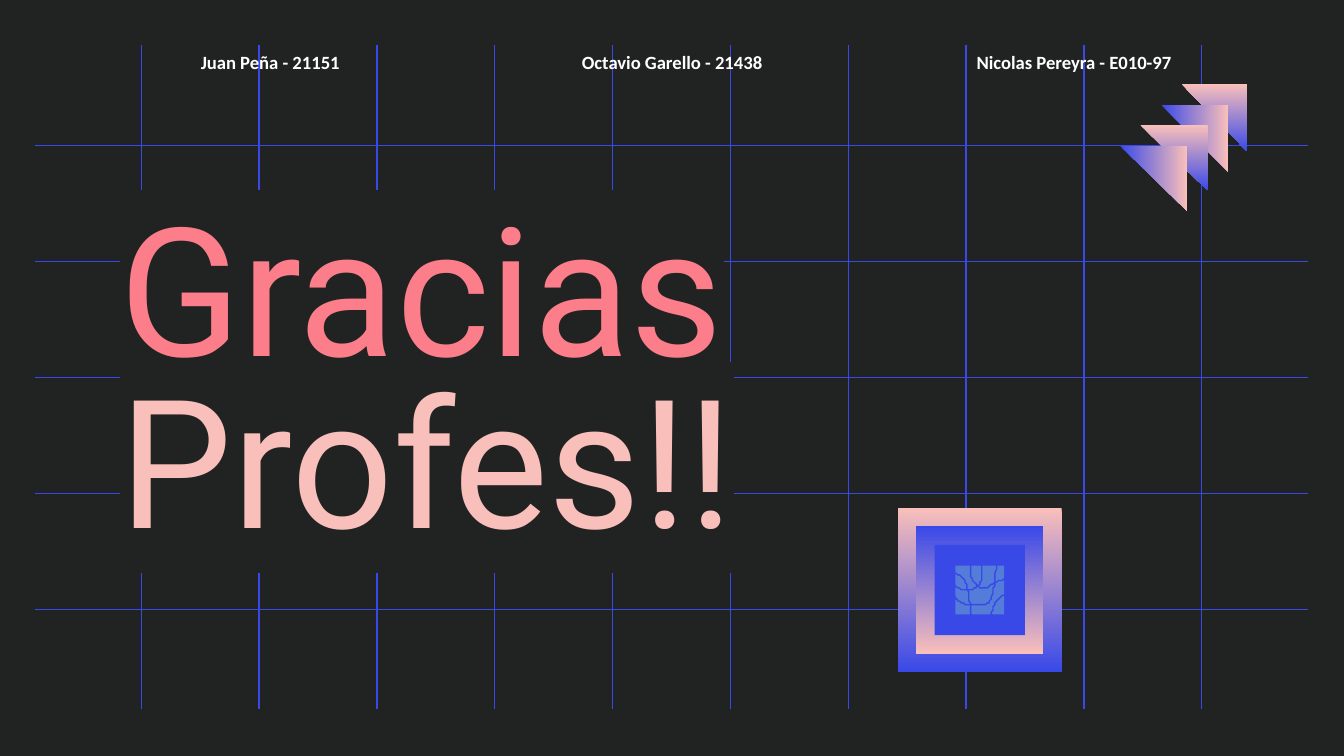
import pptx
import pptx.dml.color
import pptx.enum.dml
import pptx.enum.shapes
import pptx.enum.text
import pptx.oxml
import pptx.oxml.ns
import pptx.util

Pt = pptx.util.Pt
COLORS = {
    "background": "212222",
    "blue": "3949E8",
    "light blue": "537DD8",
    "pink": "F9BFBA",
    "coral": "FB7E8A",
    "white": "FFFFFF",
}
SQUIGGLE = [
    (1, 14), (1.5, 21), (3.2, 27), (6.5, 31.5), (12.2, 33.7), (16.6, 34), (21, 33.5),
    (23.8, 31), (25.6, 24.5), (26.3, 17.3), (28, 10.8), (31.7, 9), (36.7, 13), (37.4, 18),
    (36.7, 23), (34.6, 26.6), (28.8, 29.5), (24.9, 36), (25.2, 41), (28.8, 42), (36, 39.6),
    (40, 33.1), (37, 22.3), (31.7, 19.8), (26, 22), (20.2, 24.8), (16.6, 23.4), (13, 17.3),
    (13, 10.8), (15.1, 9.7), (18, 10.1), (19.1, 15), (19.1, 19.4), (17.3, 23.4), (11.5, 26),
    (5, 23.8), (1.4, 18.7), (2.2, 17), (7.2, 17.6), (10.8, 23), (12.2, 30.2), (13, 35.3),
    (14.4, 41), (18.7, 45),
]


def rgb(name):
    """Return the named colour."""
    return pptx.dml.color.RGBColor.from_string(COLORS[name])


def paint(shape, colors, angle=0):
    """Fill a shape with one colour, or with a gradient of two, without outline."""
    shape.shadow.inherit = False
    shape.line.fill.background()
    if len(colors) == 1:
        shape.fill.solid()
        shape.fill.fore_color.rgb = rgb(colors[0])
        return
    shape.fill.gradient()
    shape.fill.gradient_angle = angle
    for stop, color, position in zip(shape.fill.gradient_stops, colors, (0, 1)):
        stop.color.rgb = rgb(color)
        stop.position = position


def add_grid_line(slide, start, end):
    """Draw one thin blue line between two points."""
    line = slide.shapes.add_connector(
        pptx.enum.shapes.MSO_CONNECTOR.STRAIGHT, *map(Pt, (*start, *end)))
    line.line.color.rgb = rgb("blue")
    line.line.width = Pt(0.75)
    line._element.spPr.append(pptx.oxml.parse_xml(
        f"<a:effectLst {pptx.oxml.ns.nsdecls('a')}/>"))


def add_grid(slide, left, top, width, height):
    """Draw the five rows and ten columns of grid lines."""
    for row in range(5):
        y = top + 53.9 + 62.15 * row
        add_grid_line(slide, (left, y), (left + width, y))
    for column in range(10):
        x = left + 57 + 63.12 * column
        add_grid_line(slide, (x, top), (x, top + height))


def add_title(slide, left, top, width, height):
    """Place the highlighted two-colour title in front of the grid."""
    title = slide.shapes.title
    title._element.getparent().append(title._element)
    title.left, title.top, title.width, title.height = map(Pt, (left, top, width, height))
    frame = title.text_frame
    frame.word_wrap = True
    frame.auto_size = pptx.enum.text.MSO_AUTO_SIZE.NONE
    frame.vertical_anchor = pptx.enum.text.MSO_ANCHOR.MIDDLE
    frame.margin_left = frame.margin_right = frame.margin_top = frame.margin_bottom = Pt(7.2)
    paragraph = frame.paragraphs[0]
    paragraph.alignment = pptx.enum.text.PP_ALIGN.LEFT
    paragraph.line_spacing = 0.8
    paragraph.space_before = Pt(0)
    for text, color in (("Gracias ", "coral"), ("Profes!!", "pink")):
        run = paragraph.add_run()
        run.text = text
        run.font.size = Pt(96)
        run.font.color.rgb = rgb(color)
        run._r.get_or_add_rPr().append(pptx.oxml.parse_xml(
            f"<a:highlight {pptx.oxml.ns.nsdecls('a')}>"
            f"<a:srgbClr val=\"{COLORS['background']}\"/></a:highlight>"))
        run.font.name = "Roboto"


def smooth_points(points, steps=6):
    """Return points along a Catmull-Rom curve through the given points."""
    padded = [points[0], *points, points[-1]]
    curve = [points[0]]
    for a, b, c, d in zip(padded, padded[1:], padded[2:], padded[3:]):
        for step in range(1, steps + 1):
            t = step / steps
            curve.append(tuple(
                q + t / 2 * (r - p + t * (2 * p - 5 * q + 4 * r - s + t * (3 * (q - r) + s - p)))
                for p, q, r, s in zip(a, b, c, d)))
    return curve


def add_outline(slide, points, close):
    """Build a freeform through points given in points of length."""
    builder = slide.shapes.build_freeform(*points[0], scale=Pt(1))
    builder.add_line_segments(points[1:], close=close)
    return builder.convert_to_shape()


def add_nested_squares(slide, left, top, size):
    """Draw four centred squares and the curling line inside them."""
    squares = (
        (size, ("pink", "blue")),
        (68.2, ("blue", "pink")),
        (48.4, ("blue",)),
        (26.2, ("light blue",)),
    )
    for side, colors in squares:
        inset = (size - side) / 2
        square = slide.shapes.add_shape(
            pptx.enum.shapes.MSO_SHAPE.RECTANGLE,
            *map(Pt, (left + inset, top + inset, side, side)))
        paint(square, colors, 270)
    offset_x, offset_y = left + 25.9, top + 18.2
    points = [(offset_x + x, offset_y + y) for x, y in smooth_points(SQUIGGLE)]
    squiggle = add_outline(slide, points, False)
    squiggle.shadow.inherit = False
    squiggle.fill.background()
    squiggle.line.color.rgb = rgb("blue")
    squiggle.line.width = Pt(0.75)


def add_triangles(slide, left, top, size):
    """Draw four overlapping triangles stepping down to the left."""
    for index in range(4):
        x, y = left - 10.9 * index, top + 10.8 * index
        triangle = add_outline(slide, [(x, y), (x + size, y + size), (x + size, y)], True)
        if index % 2:
            paint(triangle, ("blue", "pink"), 0)
        else:
            paint(triangle, ("pink", "blue"), 270)


def add_names(slide, left, top, width, height):
    """Write the three student names in a row."""
    names = ("Juan Peña - 21151", "Octavio Garello - 21438", "Nicolas Pereyra - E010-97")
    for index, name in enumerate(names):
        box = slide.shapes.add_textbox(
            *map(Pt, (left + 215.28 * index, top, width, height)))
        frame = box.text_frame
        frame.word_wrap = True
        frame.vertical_anchor = pptx.enum.text.MSO_ANCHOR.MIDDLE
        frame.margin_top = frame.margin_bottom = Pt(7.2)
        paragraph = frame.paragraphs[0]
        paragraph.text = name
        paragraph.alignment = pptx.enum.text.PP_ALIGN.CENTER
        paragraph.font.size = Pt(10)
        paragraph.font.name = "Calibri"
        paragraph.font.bold = True
        paragraph.font.color.rgb = rgb("white")


def main():
    """Build the closing slide and save it."""
    presentation = pptx.Presentation()
    presentation.slide_width, presentation.slide_height = Pt(720), Pt(405)
    slide = presentation.slides.add_slide(presentation.slide_layouts.get_by_name("Title Only"))
    slide.background.fill.solid()
    slide.background.fill.fore_color.rgb = rgb("background")
    add_grid(slide, 18.7, 23.9, 681.9, 356)
    add_title(slide, 56.9, 92.2, 529.2, 234.7)
    add_nested_squares(slide, 481, 272.2, 87.8)
    add_triangles(slide, 633.2, 45.4, 35.3)
    add_names(slide, 56.9, 23.8, 175.7, 18.7)
    presentation.save("out.pptx")


if __name__ == "__main__":
    main()
